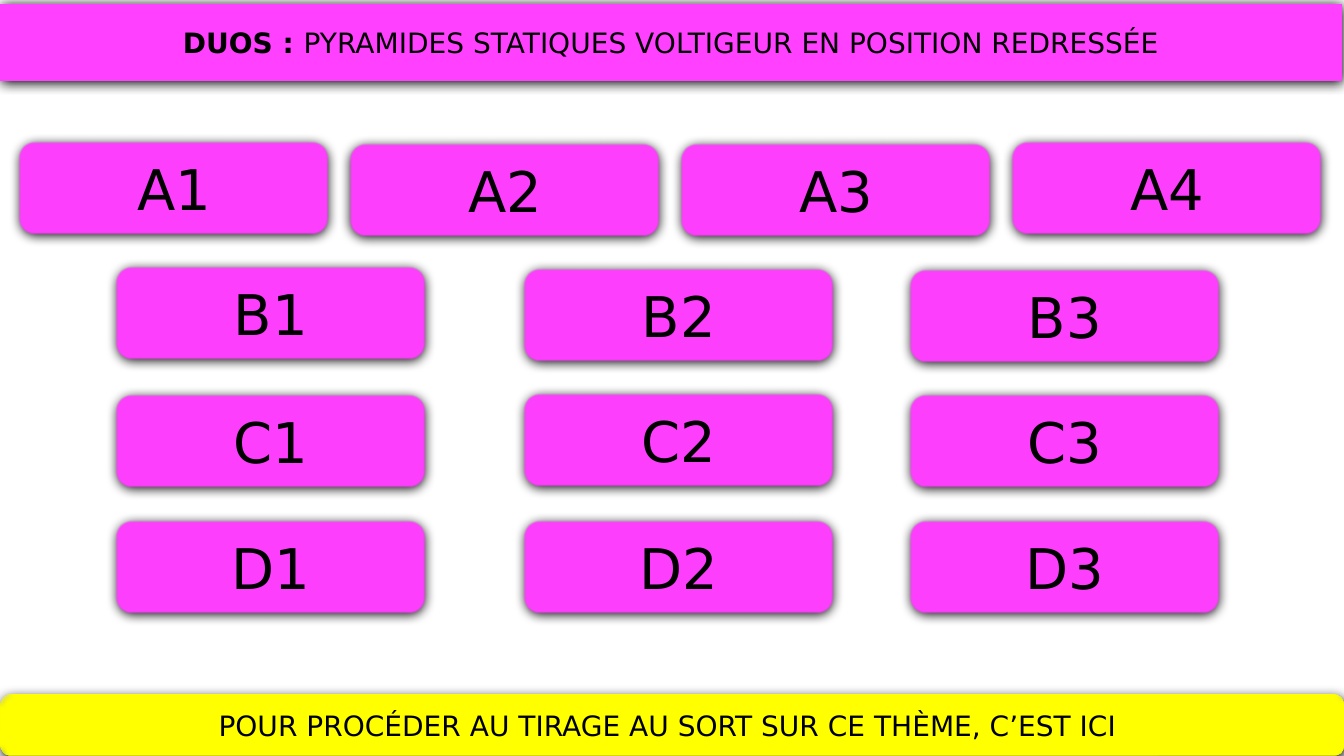
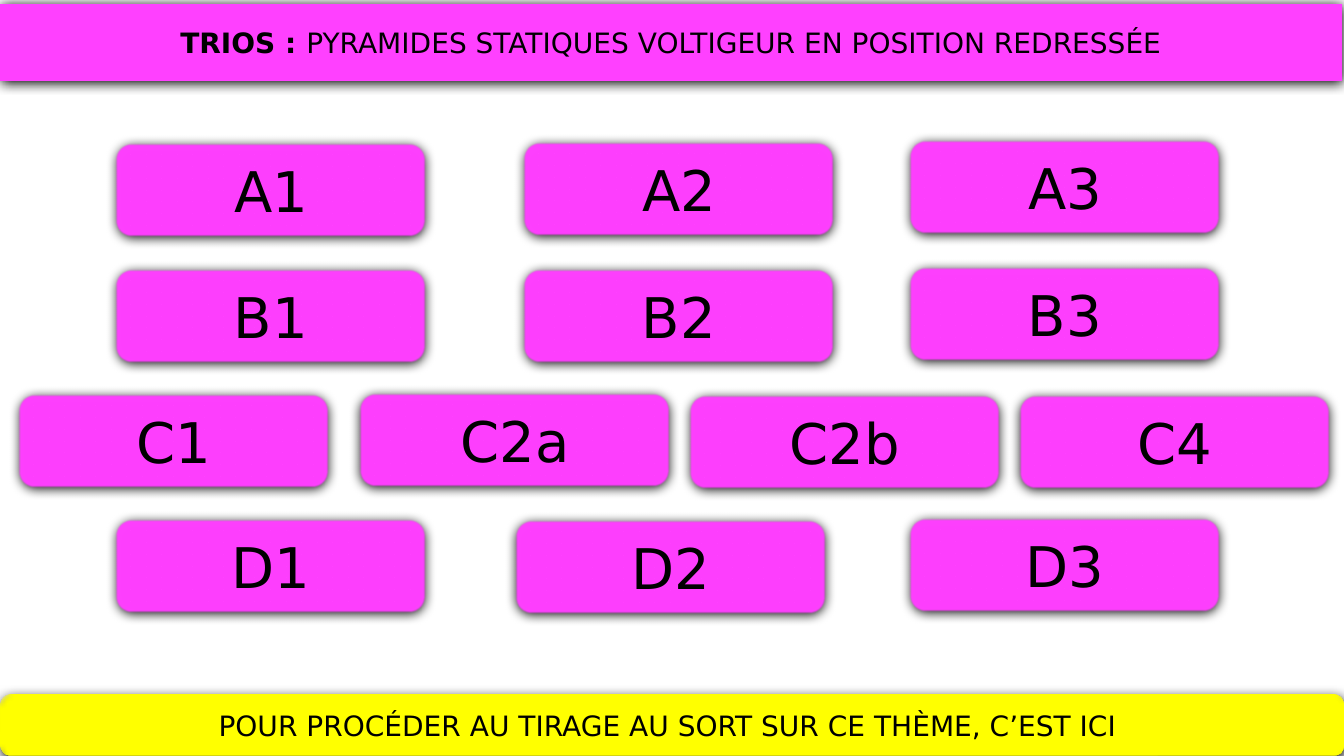
from dataclasses import dataclass

from lxml import etree
from pptx import Presentation
from pptx.dml.color import RGBColor
from pptx.enum.shapes import MSO_SHAPE
from pptx.enum.text import MSO_ANCHOR, MSO_AUTO_SIZE, PP_ALIGN
from pptx.oxml.ns import qn
from pptx.util import Emu, Pt

ROUNDED = MSO_SHAPE.ROUNDED_RECTANGLE
MIDDLE = MSO_ANCHOR.MIDDLE
CENTER = PP_ALIGN.CENTER
NO_AUTOFIT = MSO_AUTO_SIZE.NONE
TITLE_ONLY = 5

SLIDE_WIDTH, SLIDE_HEIGHT = 1344, 756
EMU_PER_PX = 12192000 / SLIDE_WIDTH


@dataclass(frozen=True)
class Theme:
    font: str = "DejaVu Sans"
    pink: str = "FF40FF"
    yellow: str = "FFFF00"
    black: str = "000000"
    band_size: int = 20
    button_size: int = 40
    shadow_blur: float = 8.5
    shadow_distance: int = 1
    soft_edge: int = 1
    outline: float = 0.75


THEME = Theme()

# Boxes: left, top, width, height
TITLE_BOX = (0, 4, 1342, 77)
FOOTER_BOX = (0, 695, 1344, 61)
GRID_BOX = (19, 143, 1311, 471)

# Button grid, measured from the grid box
BUTTON_WIDTH, BUTTON_HEIGHT = 310, 93
ROW_PITCH = 126
THREE = (97, 505, 891)
FOUR = (0, 331, 662, 993)
FOUR_SPREAD = (0, 341, 671, 1001)
THREE_SHIFTED = (97, 497, 891)

TITLE_TEXT = "PYRAMIDES STATIQUES VOLTIGEUR EN POSITION REDRESSÉE"
FOOTER_TEXT = "POUR PROCÉDER AU TIRAGE AU SORT SUR CE THÈME, C’EST ICI "

# Each row: labels, columns, vertical shift of each button
SLIDES = {
    "DUOS : ": (
        ("A1 A2 A3 A4", FOUR, (-1, 1, 1, -1)),
        ("B1 B2 B3", THREE, (-2, 0, 1)),
        ("C1 C2 C3", THREE, (0, -1, 0)),
        ("D1 D2 D3", THREE, (0, 0, 0)),
    ),
    "TRIOS : ": (
        ("A1 A2 A3", THREE, (1, 0, -2)),
        ("B1 B2 B3", THREE, (1, 1, -1)),
        ("C1 C2a C2b C4", FOUR_SPREAD, (0, -1, 1, 1)),
        ("D1 D2 D3", THREE_SHIFTED, (-1, 0, -2)),
    ),
}


def px(length):
    return Emu(round(length * EMU_PER_PX))


def set_all(target, values):
    for name, value in values.items():
        setattr(target, name, value)


def add_solid_fill(parent, color):
    fill = etree.SubElement(parent, qn("a:solidFill"))
    etree.SubElement(fill, qn("a:srgbClr"), val=color)


def add_effects(shape, soft):
    """Give the shape its dark halo and, if asked, a soft edge."""
    shape.shadow.inherit = False
    effects = shape._element.spPr.find(qn("a:effectLst"))
    shadow = etree.SubElement(
        effects, qn("a:outerShdw"),
        blurRad=str(Pt(THEME.shadow_blur)), dist=str(Pt(THEME.shadow_distance)),
        dir="5400000", algn="ctr", rotWithShape="0")
    etree.SubElement(shadow, qn("a:srgbClr"), val=THEME.black)
    if soft:
        etree.SubElement(effects, qn("a:softEdge"), rad=str(Pt(THEME.soft_edge)))


def style_panel(shape, color, soft=True):
    shape.fill.solid()
    shape.fill.fore_color.rgb = RGBColor.from_string(color)
    shape.line.fill.background()
    add_effects(shape, soft)
    set_all(shape.text_frame, {"word_wrap": True, "auto_size": NO_AUTOFIT,
                               "vertical_anchor": MIDDLE})
    shape.text_frame.paragraphs[0].alignment = CENTER


def add_run(shape, text, size, bold=False):
    run = shape.text_frame.paragraphs[0].add_run()
    run.text = text
    set_all(run.font, {"name": THEME.font, "size": Pt(size), "bold": bold})
    run.font.color.rgb = RGBColor.from_string(THEME.black)
    return run


def add_panel(slide, box, color, text, size):
    shape = slide.shapes.add_shape(ROUNDED, *map(px, box))
    style_panel(shape, color)
    add_run(shape, text, size)


def place_title(slide, box, group):
    title = slide.shapes.title
    set_all(title, dict(zip(("left", "top", "width", "height"), map(px, box))))
    geometry = etree.SubElement(title._element.spPr, qn("a:prstGeom"),
                                prst="roundRect")
    etree.SubElement(geometry, qn("a:avLst"))
    style_panel(title, THEME.pink, soft=False)
    group_run = add_run(title, group, THEME.band_size, bold=True)
    outline = etree.Element(qn("a:ln"), w=str(Pt(THEME.outline)))
    add_solid_fill(outline, THEME.black)
    group_run.font._element.insert(0, outline)
    add_run(title, TITLE_TEXT, THEME.band_size)


def add_button_grid(slide, box, rows):
    left, top, _, _ = box
    for index, (labels, columns, shifts) in enumerate(rows):
        row_top = top + index * ROW_PITCH
        for label, column, shift in zip(labels.split(), columns, shifts):
            button_box = (left + column, row_top + shift,
                          BUTTON_WIDTH, BUTTON_HEIGHT)
            add_panel(slide, button_box, THEME.pink, label, THEME.button_size)


def add_menu_slide(presentation, group, rows):
    slide = presentation.slides.add_slide(presentation.slide_layouts[TITLE_ONLY])
    place_title(slide, TITLE_BOX, group)
    add_button_grid(slide, GRID_BOX, rows)
    add_panel(slide, FOOTER_BOX, THEME.yellow, FOOTER_TEXT, THEME.band_size)


def main():
    presentation = Presentation()
    set_all(presentation, {"slide_width": px(SLIDE_WIDTH),
                           "slide_height": px(SLIDE_HEIGHT)})
    for group, rows in SLIDES.items():
        add_menu_slide(presentation, group, rows)
    presentation.save("out.pptx")


if __name__ == "__main__":
    main()
